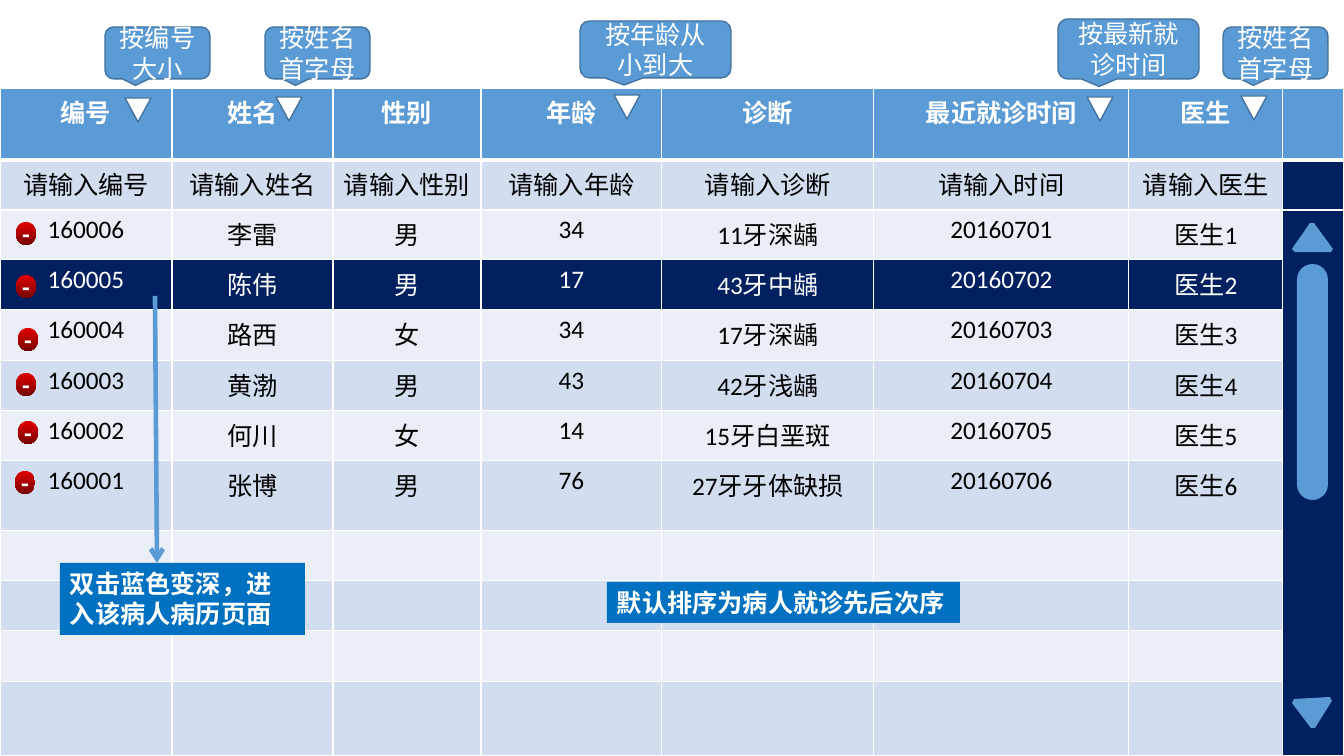
from dataclasses import dataclass
from typing import Any

from lxml import etree
from pptx import Presentation
from pptx import util as u
from pptx.dml.color import RGBColor
from pptx.enum import shapes, text
from pptx.oxml import ns

SCALE = 914400 / 100.8  # EMU per pixel
FONT = "Calibri"
COLORS = {
    "white": "FFFFFF", "black": "000000", "blue": "5B9BD5", "outline": "43739E",
    "navy": "002060", "note": "0070C0", "band_dark": "D2DEEF", "band_light": "EAEFF7",
    "red": "E30000", "dark_red": "760303",
}


@dataclass(frozen=True)
class Box:
    x: int
    y: int
    w: int
    h: int
    label: str = ""


def px(value: float) -> u.Emu:
    return u.Emu(round(value * SCALE))


def rgb(name: str) -> RGBColor:
    return RGBColor.from_string(COLORS[name])


def set_text(frame: Any, label: str, color: str, bold: bool = False, centered: bool = True) -> None:
    frame.text = label
    paragraph = frame.paragraphs[0]
    paragraph.alignment = text.PP_ALIGN.CENTER if centered else text.PP_ALIGN.LEFT
    paragraph.font.size = u.Pt(18)
    for run in paragraph.runs:
        run.font.name = FONT
        run.font.size = u.Pt(18)
        run.font.bold = bold
        run.font.color.rgb = rgb(color)


def paint(shape: Any, fill: str, outline: str = "") -> None:
    shape.shadow.inherit = False
    shape.fill.solid()
    shape.fill.fore_color.rgb = rgb(fill)
    if outline:
        shape.line.color.rgb = rgb(outline)
        shape.line.width = u.Pt(1)
    else:
        shape.line.fill.background()


def add_preset(parent: Any, kind: Any, box: Box, fill: str, outline: str = "") -> Any:
    shape = parent.add_shape(kind, px(box.x), px(box.y), px(box.w), px(box.h))
    paint(shape, fill, outline)
    return shape


def add_outline(parent: Any, points: list[tuple[int, int]], fill: str) -> None:
    builder = parent.build_freeform(*points[0], scale=SCALE)
    builder.add_line_segments(points[1:], close=True)
    paint(builder.convert_to_shape(), fill)


def add_note(parent: Any, box: Box) -> None:
    note = parent.add_textbox(px(box.x), px(box.y), px(box.w), px(box.h))
    note.fill.solid()
    note.fill.fore_color.rgb = rgb("note")
    note.text_frame.word_wrap = True
    set_text(note.text_frame, box.label, "white", bold=True, centered=False)
    note.text_frame.auto_size = text.MSO_AUTO_SIZE.SHAPE_TO_FIT_TEXT


def add_badge(parent: Any, box: Box) -> None:
    badge = add_preset(parent, shapes.MSO_SHAPE.OVAL, box, "red")
    badge.fill.gradient()
    badge.fill.gradient_angle = 270
    for stop, color in zip(badge.fill.gradient_stops, ("red", "dark_red")):
        stop.color.rgb = rgb(color)
    frame = badge.text_frame
    frame.margin_left = frame.margin_right = frame.margin_top = frame.margin_bottom = 0
    frame.vertical_anchor = text.MSO_ANCHOR.MIDDLE
    set_text(frame, box.label, "white", bold=True)


def style_cell(cell: Any, fill: str, row: int) -> None:
    properties = cell._tc.get_or_add_tcPr()
    for side in "LRTB":
        thick = (row, side) in ((0, "B"), (1, "T"))
        border = etree.SubElement(properties, ns.qn(f"a:ln{side}"), w=str(u.Pt(3 if thick else 1)))
        solid = etree.SubElement(border, ns.qn("a:solidFill"))
        etree.SubElement(solid, ns.qn("a:srgbClr"), val=COLORS["white"])
    cell.fill.solid()
    cell.fill.fore_color.rgb = rgb(fill)


deck = Presentation()
deck.slide_width, deck.slide_height = px(1344), px(756)
canvas = deck.slides.add_slide(deck.slide_layouts[6]).shapes

# Patient table
COLUMN_WIDTHS = [172, 161, 148, 181, 212, 255, 154, 61]
ROW_HEIGHTS = [72, 50, 50, 50, 51, 50, 50, 70, 50, 50, 51, 74]
SELECTED_ROW = 3
SCROLL_COLUMN = 7
HEADINGS = ["编号", "姓名", "性别", "年龄", "诊断", "最近就诊时间", "医生"]
PROMPTS = ["请输入" + field for field in ("编号", "姓名", "性别", "年龄", "诊断", "时间", "医生")]
PATIENTS = [
    ("李雷", "男", "34", "11牙深龋"),
    ("陈伟", "男", "17", "43牙中龋"),
    ("路西", "女", "34", "17牙深龋"),
    ("黄渤", "男", "43", "42牙浅龋"),
    ("何川", "女", "14", "15牙白垩斑"),
    ("张博", "男", "76", "27牙牙体缺损"),
]
records = [HEADINGS, PROMPTS] + [
    [str(160007 - n), *patient, str(20160700 + n), f"医生{n}"]
    for n, patient in enumerate(PATIENTS, 1)
]

patients = canvas.add_table(
    len(ROW_HEIGHTS), len(COLUMN_WIDTHS), 0, px(88), px(1344), px(sum(ROW_HEIGHTS))
).table
patients.horz_banding = False
for column, width in zip(patients.columns, COLUMN_WIDTHS):
    column.width = px(width)
for r, height in enumerate(ROW_HEIGHTS):
    patients.rows[r].height = px(height)
    for c in range(len(COLUMN_WIDTHS)):
        if r == 0:
            fill = "blue"
        elif c == SCROLL_COLUMN or r == SELECTED_ROW:
            fill = "navy"
        else:
            fill = "band_dark" if r % 2 else "band_light"
        style_cell(patients.cell(r, c), fill, r)
        if r < len(records) and c < SCROLL_COLUMN:
            ink = "white" if r in (0, SELECTED_ROW) else "black"
            set_text(patients.cell(r, c).text_frame, records[r][c], ink, bold=r == 0)
patients.cell(2, SCROLL_COLUMN).merge(patients.cell(len(ROW_HEIGHTS) - 1, SCROLL_COLUMN))

# Scroll bar
scroll_bar = canvas.add_group_shape().shapes
add_outline(scroll_bar, [(1310, 223), (1314, 223), (1333, 249), (1331, 252), (1295, 252), (1292, 249)], "blue")
add_outline(scroll_bar, [(1315, 728), (1311, 728), (1292, 703), (1294, 699), (1330, 697), (1332, 701)], "blue")
thumb = add_preset(scroll_bar, shapes.MSO_SHAPE.ROUNDED_RECTANGLE, Box(1297, 264, 31, 236), "blue")
thumb.adjustments[0] = 0.5

# Sort markers in the header
for x, y in [(125, 98), (1241, 96), (1087, 97), (614, 95), (276, 97)]:
    add_preset(canvas, shapes.MSO_SHAPE.FLOWCHART_MERGE, Box(x, y, 26, 24), "white", "outline")

# Sort rule callouts
CALLOUTS = [
    Box(105, 27, 105, 52, "按编号大小"),
    Box(265, 27, 105, 52, "按姓名首字母"),
    Box(580, 21, 151, 57, "按年龄从小到大"),
    Box(1058, 19, 141, 60, "按最新就诊时间"),
    Box(1223, 27, 105, 52, "按姓名首字母"),
]
for rule in CALLOUTS:
    callout = add_preset(canvas, shapes.MSO_SHAPE.ROUNDED_RECTANGULAR_CALLOUT, rule, "blue", "outline")
    callout.text_frame.vertical_anchor = text.MSO_ANCHOR.MIDDLE
    set_text(callout.text_frame, rule.label, "white")

# Notes and the arrow from the selected row
add_note(canvas, Box(60, 563, 245, 72, "双击蓝色变深，进入该病人病历页面"))
open_arrow = canvas.add_connector(shapes.MSO_CONNECTOR.STRAIGHT, px(155), px(296), px(157), px(563))
open_arrow.line.color.rgb = rgb("blue")
open_arrow.line.width = u.Pt(3.25)
etree.SubElement(open_arrow.line._get_or_add_ln(), ns.qn("a:tailEnd"), type="arrow")
etree.SubElement(open_arrow._element.spPr, ns.qn("a:effectLst"))
add_note(canvas, Box(607, 582, 353, 41, "默认排序为病人就诊先后次序"))

# Delete badges
badges = canvas.add_group_shape().shapes
for x, y in [(16, 222), (16, 275), (18, 328), (16, 373), (18, 421), (15, 471)]:
    add_badge(badges, Box(x, y, 20, 23, "-"))

deck.save("out.pptx")
